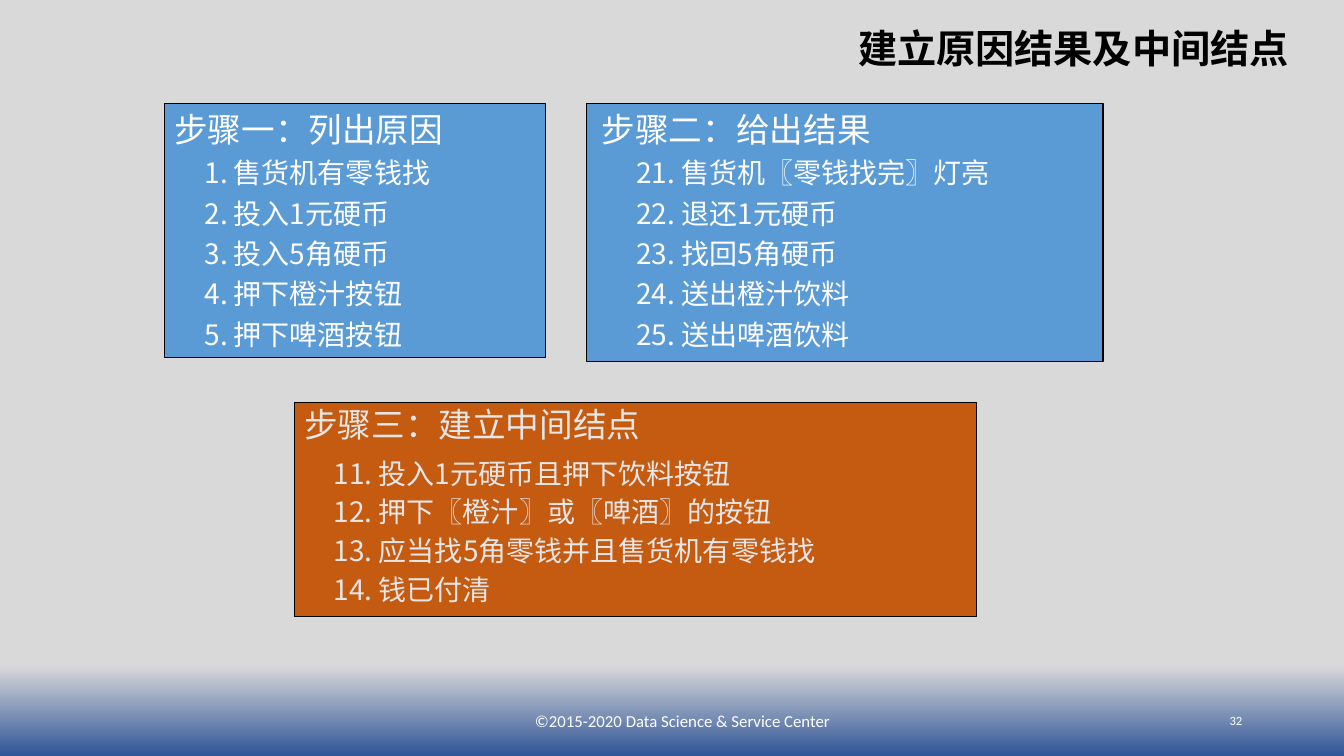
from lxml import etree
from pptx import Presentation
from pptx.dml.color import RGBColor
from pptx.enum.shapes import MSO_SHAPE
from pptx.enum.text import MSO_ANCHOR, PP_ALIGN
from pptx.oxml.ns import qn
from pptx.util import Inches, Pt

RECTANGLE = MSO_SHAPE.RECTANGLE
TOP, MIDDLE = MSO_ANCHOR.TOP, MSO_ANCHOR.MIDDLE
LEFT, CENTER, RIGHT = PP_ALIGN.LEFT, PP_ALIGN.CENTER, PP_ALIGN.RIGHT
CHINESE, LATIN = "Noto Sans CJK SC", "Calibri"
BLUE, ORANGE, WHITE, PALE, BLACK = "5B9BD5", "C55A11", "FFFFFF", "E7E6E6", "000000"

CAUSES = ["售货机有零钱找", "投入1元硬币", "投入5角硬币", "押下橙汁按钮", "押下啤酒按钮"]
RESULTS = ["21. 售货机〖零钱找完〗灯亮", "22. 退还1元硬币", "23. 找回5角硬币",
           "24. 送出橙汁饮料", "25. 送出啤酒饮料"]
MIDDLE_NODES = ["11. 投入1元硬币且押下饮料按钮", "12. 押下〖橙汁〗或〖啤酒〗的按钮",
                "13. 应当找5角零钱并且售货机有零钱找", "14. 钱已付清"]


def color(value):
    """Turn a hex string into a colour."""
    return RGBColor.from_string(value)


def write(para, text, size, tint, face=CHINESE, bold=False, **layout):
    """Fill a paragraph with formatted text; layout holds paragraph attributes."""
    para.text = text
    for name, value in layout.items():
        setattr(para, name, value)
    for span in para.runs:
        for name, value in {"size": Pt(size), "name": face, "bold": bold}.items():
            setattr(span.font, name, value)
        span.font.color.rgb = color(tint)
        etree.SubElement(span.font._element, qn("a:ea"), typeface=face)


def indent(para, margin, first=0, numbered=False):
    """Set the indents of a paragraph and, if asked, automatic numbers."""
    properties = para._p.get_or_add_pPr()
    properties.set("marL", str(Inches(margin)))
    properties.set("indent", str(Inches(first)))
    if numbered:
        etree.SubElement(properties, qn("a:buAutoNum"), type="arabicPeriod")


def add_label(page, area, text, size, tint, **style):
    """Place one line of text, centred vertically in its area."""
    box = page.shapes.add_textbox(*map(Inches, area))
    frame = box.text_frame
    frame.word_wrap = True
    frame.vertical_anchor = MIDDLE
    write(frame.paragraphs[0], text, size, tint, **style)


def add_step(page, area, fill, tint, heading, items, margin, first=0,
             numbered=False, heading_margin=0, heading_spacing=1.0, **layout):
    """Draw a step box with a heading and its indented items."""
    box = page.shapes.add_shape(RECTANGLE, *map(Inches, area))
    box.shadow.inherit = False
    box.fill.solid()
    box.fill.fore_color.rgb = color(fill)
    box.line.color.rgb = color(BLACK)
    box.line.width = Pt(0.75)
    frame = box.text_frame
    frame.word_wrap = True
    frame.vertical_anchor = TOP
    title = frame.paragraphs[0]
    indent(title, heading_margin)
    write(title, heading, 24, tint, alignment=LEFT, line_spacing=heading_spacing)
    for item in items:
        para = frame.add_paragraph()
        indent(para, margin, first, numbered)
        write(para, item, 20, tint, alignment=LEFT, level=1, **layout)


def paint_background(page):
    """Fade the page from grey to blue along its bottom edge."""
    fill = page.background.fill
    fill.gradient()
    fill.gradient_angle = 270
    for stop, (position, tint) in zip(fill.gradient_stops, [(0.88, "D9D9D9"), (1, "2F5597")]):
        stop.position = position
        stop.color.rgb = color(tint)


def add_footer(page, top, height):
    """Place the copyright line and the page number."""
    add_label(page, (4.52, top, 4.5, height), "©2015-2020 Data Science & Service Center",
              12, WHITE, face=LATIN, alignment=CENTER)
    add_label(page, (9.42, top, 3, height), "32", 9, WHITE, face=LATIN, alignment=RIGHT)


def build_slide(deck):
    """Build the slide on the three steps."""
    page = deck.slides.add_slide(deck.slide_layouts[6])
    paint_background(page)
    add_label(page, (1.11, 0.15, 11.77, 0.71), "建立原因结果及中间结点", 28, BLACK,
              bold=True, alignment=RIGHT, line_spacing=0.9)
    add_step(page, (1.63, 1.03, 3.78, 2.52), BLUE, WHITE, "步骤一：列出原因", CAUSES,
             0.59, -0.29, numbered=True, line_spacing=1.2)
    add_step(page, (5.82, 1.03, 5.12, 2.56), BLUE, WHITE, "步骤二：给出结果", RESULTS,
             0.39, heading_margin=0.05, line_spacing=1.2)
    add_step(page, (2.92, 3.99, 6.77, 2.13), ORANGE, PALE, "步骤三：建立中间结点",
             ["\v".join(MIDDLE_NODES)], 0.29, heading_spacing=0.95,
             line_spacing=1.15, space_before=Pt(4))
    add_footer(page, 6.95, 0.4)


def main():
    """Create and save the deck."""
    deck = Presentation()
    deck.slide_width, deck.slide_height = Inches(13.33), Inches(7.5)
    build_slide(deck)
    deck.save("out.pptx")


if __name__ == "__main__":
    main()
